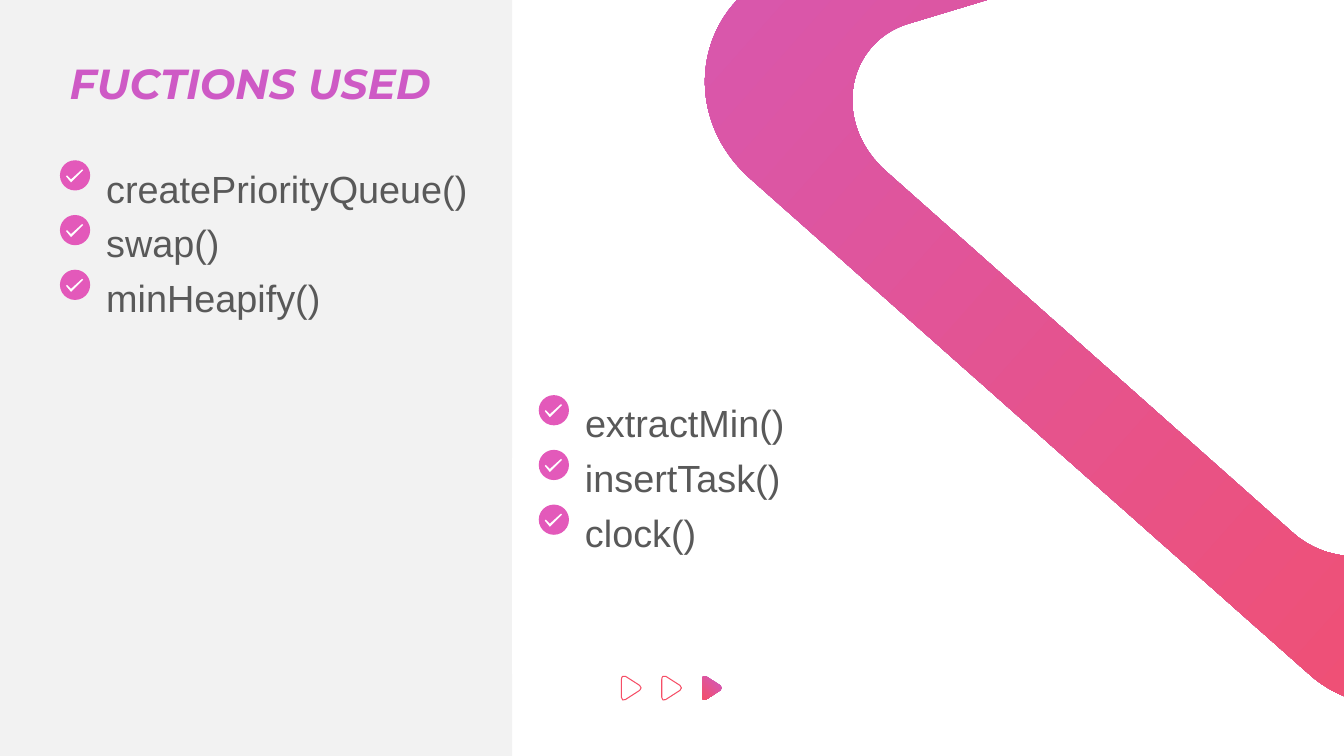
"""Build the slide that lists the functions used, with a gradient band and arrow markers."""
from copy import deepcopy
from dataclasses import dataclass
from math import cos, radians, sin
from typing import Any

from lxml import etree
from pptx import Presentation
from pptx import util as u
from pptx.dml.color import RGBColor
from pptx.enum import shapes, text
from pptx.oxml.ns import qn

Point = tuple[float, float]

COLUMNS, ROWS = 133.33, 75
CELL = u.Inches(0.1)

PANEL_GREY = RGBColor(0xF2, 0xF2, 0xF2)
WHITE = RGBColor(0xFF, 0xFF, 0xFF)
BADGE_PINK = RGBColor(0xE3, 0x59, 0xBA)
TEXT_GREY = RGBColor(0x59, 0x59, 0x59)
ORCHID = RGBColor(0xCE, 0x5A, 0xC5)
CORAL = RGBColor(0xF6, 0x4E, 0x66)

ITEM_FONT = {"name": "Arial", "size": u.Pt(27)}
TITLE_FONT = {"name": "Montserrat", "size": u.Pt(30), "bold": True, "italic": True}
FRAME_FORMAT = {"word_wrap": True, "auto_size": text.MSO_AUTO_SIZE.SHAPE_TO_FIT_TEXT}

TICK = [(2.2, 0.9), (1.1, 1.9), (0.7, 1.5), (0.6, 1.6), (1.1, 2.2), (2.3, 1)]
BAND_OUTER = [
    (152.8, -26.8), (160, -26.5), (165.7, -19.6), (163.6, -11.7),
    (163.6, -11.7), (163.6, -11.7), (149.3, 60.3),
    (148.3, 69.9), (136.6, 72.9), (129.9, 66.9),
    (129.9, 66.9), (129.9, 66.9), (74.5, 17.8),
    (66.9, 11.1), (69.3, -0.1), (77.9, -3),
    (77.9, -3), (77.9, -3), (147.7, -25.9),
    (149.4, -26.6), (151.2, -26.9), (152.8, -26.8),
]
BAND_INNER = [
    (143, -13.1), (141.8, -13.2), (140.5, -13), (139.3, -12.5),
    (90, 2.4), (90, 2.4), (90, 2.4),
    (84, 4.3), (82.4, 12.2), (88, 17.1),
    (128.3, 52.9), (128.3, 52.9), (128.3, 52.9),
    (133.2, 57.2), (141.5, 55.3), (142, 48.5),
    (150.9, -2.2), (150.9, -2.2), (150.9, -2.2),
    (152.3, -7.7), (148.1, -12.7), (143, -13.1),
]
MARKER_CURVE = [
    (-1, -0.9), (-1, 0.9), (-1, 0.9), (-1, 0.9),
    (-1, 1.1), (-0.8, 1.3), (-0.6, 1.1),
    (0.8, 0.2), (0.8, 0.2), (0.8, 0.2),
    (1, 0.1), (1, -0.2), (0.8, -0.3),
    (-0.6, -1.2), (-0.6, -1.2), (-0.6, -1.2),
    (-0.8, -1.3), (-1, -1.2), (-1, -0.9),
]


@dataclass(frozen=True)
class Checklist:
    column: float
    row: float
    labels: tuple[str, ...]
    widths: tuple[float, ...]
    pitch: float = 5.43


@dataclass(frozen=True)
class Marker:
    column: float
    filled: bool
    row: float = 68.3


USED_FIRST = Checklist(5.95, 15.9, ("createPriorityQueue()", "swap()", "minHeapify()"), (38.3, 26.6, 26.6))
USED_NEXT = Checklist(53.45, 39.2, ("extractMin()", "insertTask()", "clock()"), (28.2, 26.6, 26.6))
MARKERS = [Marker(62.65 + 4 * index, filled=index == 2) for index in range(3)]


def cells(*counts: float) -> list[int]:
    return [round(count * CELL) for count in counts]


def apply(target: Any, values: dict[str, Any]) -> None:
    for name, value in values.items():
        setattr(target, name, value)


def paint(shape: Any, color: RGBColor) -> None:
    shape.shadow.inherit = False
    shape.fill.solid()
    shape.fill.fore_color.rgb = color
    shape.line.fill.background()


def paint_gradient(fill: Any, end: float, angle: float) -> None:
    fill.gradient()
    fill.gradient_angle = angle
    for stop, color, position in zip(fill.gradient_stops, (ORCHID, CORAL), (0, end)):
        stop.color.rgb = color
        stop.position = position


def add_preset(parent: Any, kind: Any, box: tuple[float, ...], color: RGBColor) -> None:
    paint(parent.add_shape(kind, *cells(*box)), color)


def add_label(parent: Any, box: tuple[float, ...], label: str, font: dict[str, Any]) -> Any:
    frame = parent.add_textbox(*cells(*box)).text_frame
    apply(frame, FRAME_FORMAT)
    run = frame.paragraphs[0].add_run()
    run.text = label
    apply(run.font, font)
    return run.font


def unrotate(points: list[Point], degrees: float) -> list[Point]:
    cosine, sine = cos(radians(degrees)), sin(radians(degrees))
    return [(x * cosine + y * sine, y * cosine - x * sine) for x, y in points]


def add_outline(parent: Any, points: list[Point]) -> Any:
    first, *others = [tuple(cells(*point)) for point in points]
    builder = parent.build_freeform(*first, scale=1.0)
    builder.add_line_segments(others, close=True)
    return builder.convert_to_shape()


def add_curves(parent: Any, center: Point, size: Point, degrees: float, curves: list[list[Point]]) -> Any:
    """Add a rotated freeform whose curves are offsets, as drawn, from its center."""
    (x, y), (width, height) = center, size
    left, top = x - width / 2, y - height / 2
    right, bottom = left + width, top + height
    shape = add_outline(parent, [(left, top), (right, top), (right, bottom), (left, bottom)])
    outline = shape._element.find(".//" + qn("a:path"))
    for command in list(outline):
        outline.remove(command)
    for curve in curves:
        points = unrotate(curve, degrees)
        for index, (dx, dy) in enumerate(points):
            if index == 0:
                command = etree.SubElement(outline, qn("a:moveTo"))
            elif index % 3 == 1:
                command = etree.SubElement(outline, qn("a:cubicBezTo"))
            across, down = cells(dx + width / 2, dy + height / 2)
            etree.SubElement(command, qn("a:pt"), x=str(across), y=str(down))
        etree.SubElement(outline, qn("a:close"))
    shape.rotation = degrees
    shape.shadow.inherit = False
    return shape


def add_checklist(parent: Any, checklist: Checklist) -> None:
    left = checklist.column
    for index, (label, width) in enumerate(zip(checklist.labels, checklist.widths)):
        top = checklist.row + index * checklist.pitch
        item = parent.add_group_shape().shapes
        add_preset(item, shapes.MSO_SHAPE.OVAL, (left, top, 3, 3), BADGE_PINK)
        paint(add_outline(item, [(left + x, top + y) for x, y in TICK]), WHITE)
        font = add_label(item, (left + 3.6, top, width, 5.5), label, ITEM_FONT)
        font.color.rgb = TEXT_GREY


def add_band(parent: Any) -> None:
    center = (131.1, 9.3)
    curves = [[(x - center[0], y - center[1]) for x, y in curve] for curve in (BAND_OUTER, BAND_INNER)]
    band = add_curves(parent, center, (99, 88), 41.6, curves)
    paint_gradient(band.fill, 0.87, 0)
    band.line.fill.background()


def add_marker(parent: Any, marker: Marker) -> None:
    shape = add_curves(parent, (marker.column, marker.row), (2.6, 2), 90, [MARKER_CURVE])
    paint_gradient(shape.fill, 1, 315)
    shape.line.fill.background()
    if not marker.filled:
        shape.line.width = u.Pt(0.75)
        line = shape._element.spPr.find(qn("a:ln"))
        gradient = deepcopy(shape._element.spPr.find(qn("a:gradFill")))
        stops = gradient.find(qn("a:gsLst"))
        stops.append(deepcopy(stops[-1]))
        stops[1].set("pos", "87000")
        line.replace(line.find(qn("a:noFill")), gradient)
        shape.fill.background()


def main() -> None:
    presentation = Presentation()
    presentation.slide_width, presentation.slide_height = cells(COLUMNS, ROWS)
    slide = presentation.slides.add_slide(presentation.slide_layouts[6])
    canvas = slide.shapes
    add_preset(canvas, shapes.MSO_SHAPE.RECTANGLE, (0, 0, 50.8, ROWS), PANEL_GREY)
    add_checklist(canvas, USED_FIRST)
    add_preset(canvas, shapes.MSO_SHAPE.RECTANGLE, (50.8, 45.4, COLUMNS - 50.8, 21.5), WHITE)
    add_band(canvas)
    title_font = add_label(canvas, (5.93, 5.2, 53.8, 6), "FUCTIONS USED", TITLE_FONT)
    paint_gradient(title_font.fill, 0.87, 0)
    for marker in MARKERS:
        add_marker(canvas, marker)
    add_checklist(canvas, USED_NEXT)
    presentation.save("out.pptx")


if __name__ == "__main__":
    main()
